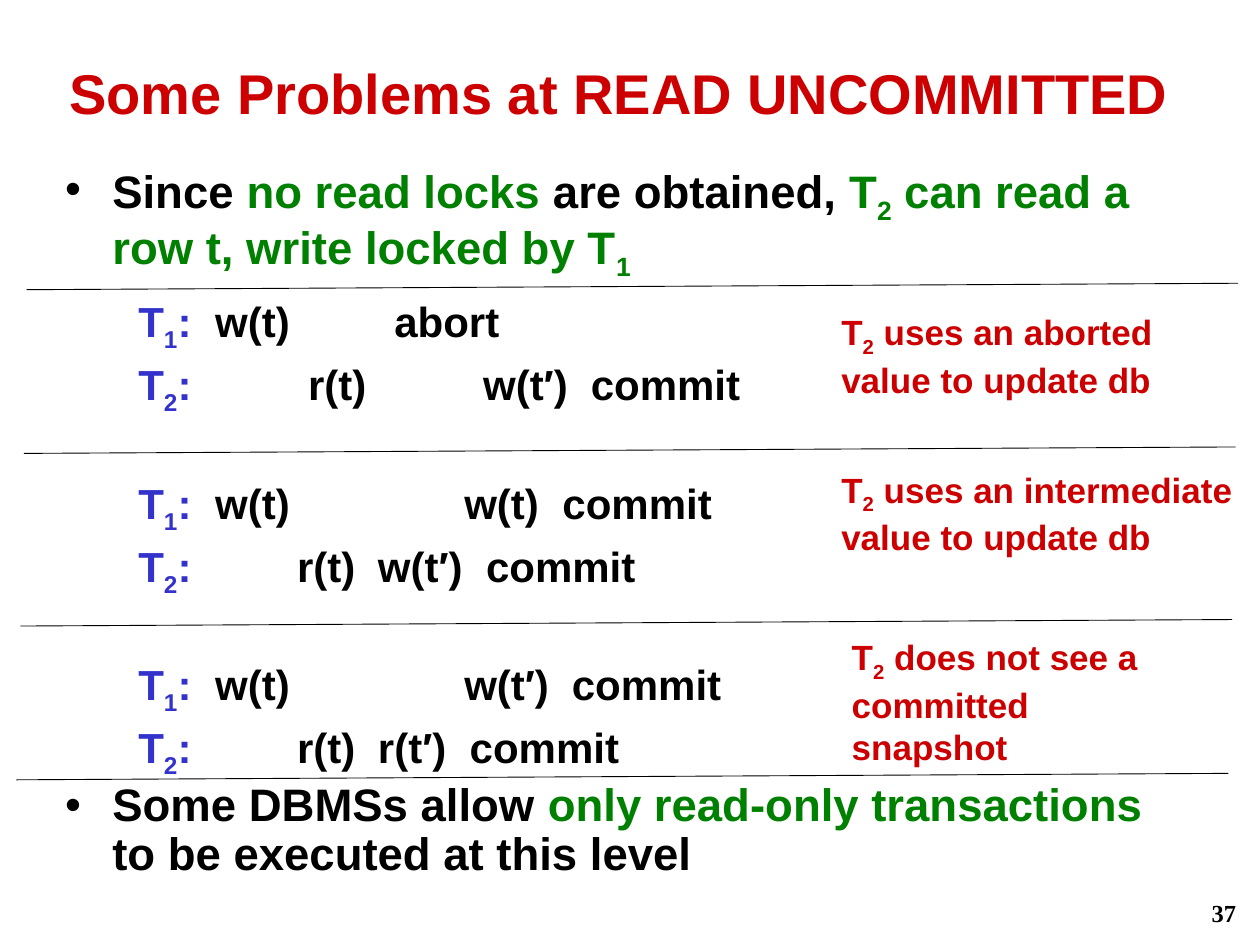
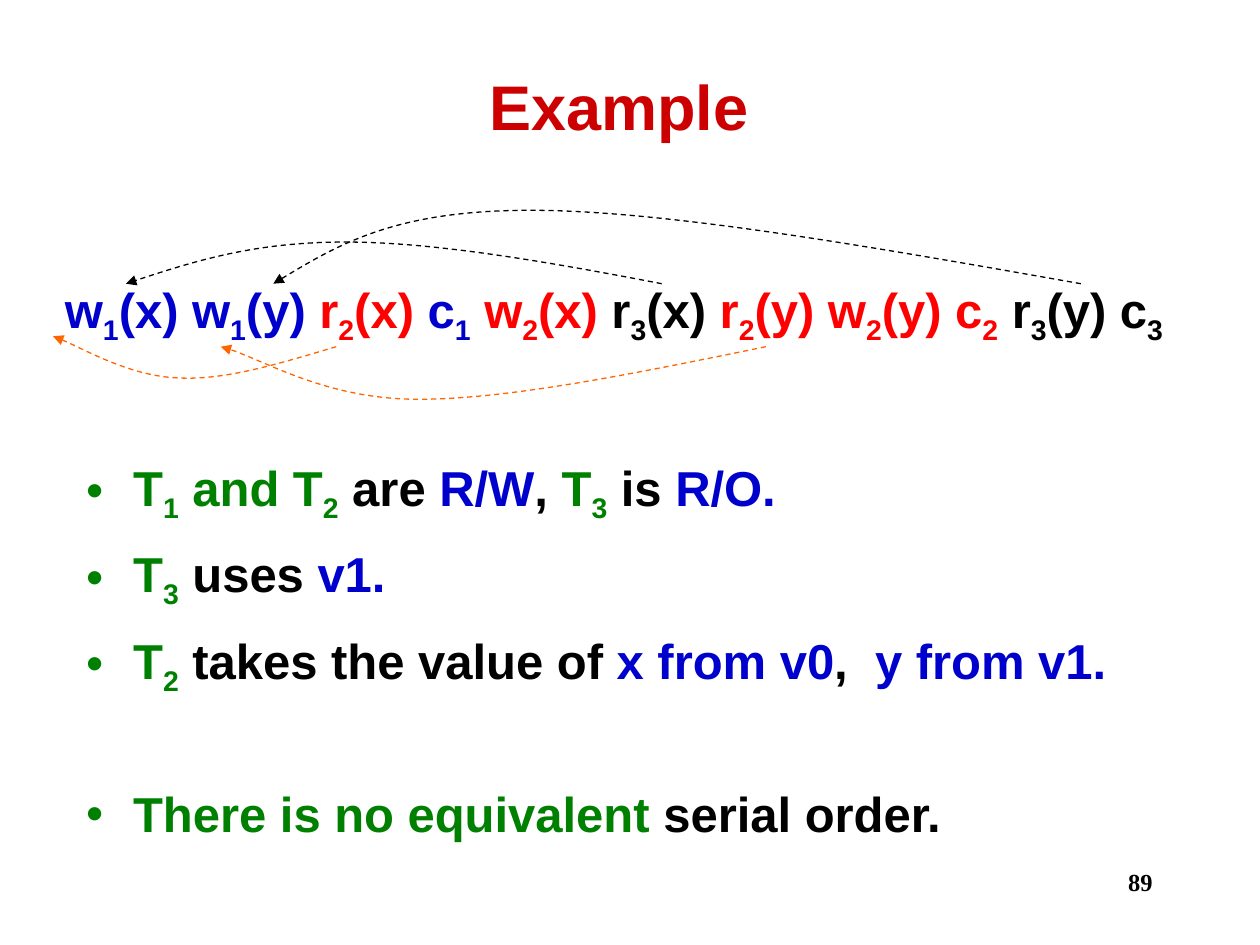
"""Build two slides on transaction isolation: dirty reads and a version example."""
import dataclasses
import typing

import lxml.etree
import pptx
import pptx.dml.color
import pptx.enum.dml
import pptx.enum.shapes
import pptx.enum.text
import pptx.oxml.ns
import pptx.util

Cm = pptx.util.Cm
Pt = pptx.util.Pt


@dataclasses.dataclass(frozen=True)
class Theme:
    """Colours, fonts and type sizes."""
    black: str = "000000"
    title: str = "CC0000"
    green: str = "008000"
    label: str = "3333CC"
    blue: str = "0000CC"
    red: str = "FF0000"
    orange: str = "FF6600"
    sans: str = "Arial"
    serif: str = "Times New Roman"
    page: int = 14
    note: int = 20
    plan: int = 24
    list: int = 26
    large: int = 28
    head: int = 32
    top: int = 36


LOOK = Theme()


class Box(typing.NamedTuple):
    """Place and size in centimetres."""
    left: float
    top: float
    width: float
    height: float


class Bit(typing.NamedTuple):
    """Text in one colour; an underscore lowers the next character."""
    text: str
    hue: str = LOOK.black


class Line(typing.NamedTuple):
    """One paragraph with its gap above in points and tab stops in centimetres."""
    bits: tuple[Bit, ...]
    gap: float = 0
    tabs: tuple[float, ...] = ()


class Style(typing.NamedTuple):
    """How the paragraphs of one box look."""
    size: int
    font: str = LOOK.sans
    align: typing.Any = pptx.enum.text.PP_ALIGN.LEFT
    pitch: float = 1.0
    bullet: str = ""


class Note(typing.NamedTuple):
    """Remark beside a schedule."""
    box: Box
    lines: tuple[str, ...]


class Curve(typing.NamedTuple):
    """Two joined cubic curves in centimetres and their colour."""
    hue: str
    dots: tuple[tuple[float, float], ...]


def child(parent: typing.Any, tag: str, **attrs: str) -> typing.Any:
    """Append a drawing element to a parent."""
    return lxml.etree.SubElement(parent, pptx.oxml.ns.qn(tag), attrs)


def rgb(hue: str) -> pptx.dml.color.RGBColor:
    """Turn a hex string into a colour."""
    return pptx.dml.color.RGBColor.from_string(hue)


def add_run(para: typing.Any, text: str, hue: str, low: bool) -> None:
    """Add one run, lowered if asked."""
    if text:
        run = para.add_run()
        run.text = text
        run.font.color.rgb = rgb(hue)
        if low:
            run._r.get_or_add_rPr().set("baseline", "-25000")


def fill_text(frame: typing.Any, lines: typing.Sequence[Line], style: Style) -> None:
    """Write paragraphs into a text frame."""
    frame.word_wrap = True
    frame.auto_size = pptx.enum.text.MSO_AUTO_SIZE.NONE
    for pos, line in enumerate(lines):
        para = frame.add_paragraph() if pos else frame.paragraphs[0]
        para.alignment = style.align
        para.line_spacing = style.pitch
        para.space_before = Pt(line.gap)
        props = para._p.get_or_add_pPr()
        if style.bullet:
            props.set("marL", str(Cm(0.95)))
            props.set("indent", str(-Cm(0.95)))
            child(child(props, "a:buClr"), "a:srgbClr", val=style.bullet)
            child(props, "a:buFont", typeface=LOOK.sans)
            child(props, "a:buChar", char="•")
        if line.tabs:
            stops = child(props, "a:tabLst")
            for stop in line.tabs:
                child(stops, "a:tab", pos=str(Cm(stop)), algn="l")
        para.font.name = style.font
        para.font.size = Pt(style.size)
        para.font.bold = True
        for bit in line.bits:
            first, *rest = bit.text.split("_")
            add_run(para, first, bit.hue, False)
            for part in rest:
                add_run(para, part[0], bit.hue, True)
                add_run(para, part[1:], bit.hue, False)


def place(shape: typing.Any, box: Box) -> None:
    """Move and size a shape."""
    shape.left, shape.top, shape.width, shape.height = map(Cm, box)


def add_text(slide: typing.Any, box: Box, lines: typing.Sequence[Line], style: Style) -> None:
    """Add a text box."""
    shape = slide.shapes.add_textbox(*map(Cm, box))
    fill_text(shape.text_frame, lines, style)


def add_title(slide: typing.Any, box: Box, text: str, size: int) -> typing.Any:
    """Fill the title placeholder and return its frame."""
    place(slide.shapes.title, box)
    frame = slide.shapes.title.text_frame
    style = Style(size, align=pptx.enum.text.PP_ALIGN.CENTER)
    fill_text(frame, [Line((Bit(text, LOOK.title),))], style)
    frame.vertical_anchor = pptx.enum.text.MSO_ANCHOR.MIDDLE
    return frame


def add_body(slide: typing.Any, box: Box, lines: typing.Sequence[Line], style: Style) -> None:
    """Fill the body placeholder."""
    body = slide.placeholders[1]
    place(body, box)
    fill_text(body.text_frame, lines, style)
    body.text_frame.vertical_anchor = pptx.enum.text.MSO_ANCHOR.TOP


def add_page(slide: typing.Any, box: Box, text: str) -> None:
    """Add the page number."""
    style = Style(LOOK.page, LOOK.serif, pptx.enum.text.PP_ALIGN.RIGHT)
    add_text(slide, box, [Line((Bit(text),))], style)


def add_rule(slide: typing.Any, left: float, top: float) -> None:
    """Add a slightly rising divider."""
    ends = (left, top, left + 24.43, top - 0.13)
    rule = slide.shapes.add_connector(pptx.enum.shapes.MSO_CONNECTOR.STRAIGHT, *map(Cm, ends))
    rule.line.color.rgb = rgb(LOOK.black)
    rule.line.width = Pt(0.5)
    child(rule._element.spPr, "a:effectLst")


def bend(shape: typing.Any) -> None:
    """Join each three straight segments of a shape into one cubic curve."""
    segs = list(shape._element.iter(pptx.oxml.ns.qn("a:lnTo")))
    route = segs[0].getparent()
    for start in range(0, len(segs), 3):
        cubic = child(route, "a:cubicBezTo")
        for seg in segs[start:start + 3]:
            cubic.append(seg[0])
            route.remove(seg)


def add_curve(slide: typing.Any, curve: Curve) -> None:
    """Add a dashed curved arrow."""
    first, *rest = [tuple(map(Cm, dot)) for dot in curve.dots]
    outline = slide.shapes.build_freeform(*first, scale=1.0)
    outline.add_line_segments(rest, close=False)
    shape = outline.convert_to_shape()
    bend(shape)
    shape.shadow.inherit = False
    shape.fill.background()
    shape.line.color.rgb = rgb(curve.hue)
    shape.line.width = Pt(0.75)
    shape.line.dash_style = pptx.enum.dml.MSO_LINE.DASH
    child(shape.line._get_or_add_ln(), "a:tailEnd", type="triangle")


def step_line(name: str, steps: str, tabs: tuple[float, ...], gap: float = 0) -> Line:
    """Make one schedule row with its steps at tab stops."""
    return Line((Bit(f"T_{name}:", LOOK.label), Bit("\t" + steps)), gap, tabs)


ISSUES = (
    Line((Bit("Since "), Bit("no read locks ", LOOK.green), Bit("are obtained, "),
          Bit("T_2 can read a row t, write locked by T_1", LOOK.green))),
    Line((Bit("Some DBMSs allow "), Bit("only read-only transactions", LOOK.green),
          Bit(" to be executed at this level")), 289.5),
)
PLANS = (
    step_line("1", "w(t)\tabort", (1.55, 5.16)),
    step_line("2", "r(t)\tw(t′)\tcommit", (3.42, 6.95, 9.12)),
    step_line("1", "w(t)\tw(t)\tcommit", (1.55, 6.57, 8.55), 32),
    step_line("2", "r(t)\tw(t′)\tcommit", (3.2, 4.83, 7.01)),
    step_line("1", "w(t)\tw(t′)\tcommit", (1.55, 6.57, 8.74), 31.5),
    step_line("2", "r(t)\tr(t′)\tcommit", (3.2, 4.83, 6.68)),
)
NOTES = (
    Note(Box(16.71, 6.13, 6.85, 1.96), ("T_2 uses an aborted", "value to update db")),
    Note(Box(16.71, 9.31, 8.45, 1.96), ("T_2 uses an intermediate", "value to update db")),
    Note(Box(16.92, 12.69, 7.3, 1.96), ("T_2 does not see a", "committed snapshot")),
)
RULES = ((0.53, 5.84), (0.48, 9.14), (0.41, 12.62), (0.33, 15.72))
FACTS = (
    Line((Bit("T_1 and T_2", LOOK.green), Bit(" are "), Bit("R/W", LOOK.blue), Bit(", "),
          Bit("T_3", LOOK.green), Bit(" is "), Bit("R/O.", LOOK.blue))),
    Line((Bit("T_3 ", LOOK.green), Bit("uses "), Bit("v1.", LOOK.blue)), 11.2),
    Line((Bit("T_2 ", LOOK.green), Bit("takes the value of "), Bit("x from v0", LOOK.blue),
          Bit(",  "), Bit("y from v1.", LOOK.blue)), 11.2),
    Line((Bit("There is no equivalent", LOOK.green), Bit(" serial order.")), 49.5),
)
ORDER = Line((
    Bit("w_1(x) w_1(y) ", LOOK.blue), Bit("r_2(x)", LOOK.red), Bit(" c_1 ", LOOK.blue),
    Bit("w_2(x) ", LOOK.red), Bit("r_3(x) "), Bit("r_2(y) w_2(y) c_2 ", LOOK.red),
    Bit("r_3(y) c_3"),
))
CURVES = (
    Curve(LOOK.black, ((13.34, 5.72), (11.05, 5.28), (8.76, 4.88), (6.96, 4.88),
                       (5.16, 4.88), (3.86, 5.28), (2.54, 5.72))),
    Curve(LOOK.black, ((21.79, 5.72), (17.6, 4.98), (13.41, 4.24), (10.69, 4.24),
                       (7.98, 4.24), (6.73, 4.98), (5.51, 5.72))),
    Curve(LOOK.orange, ((15.44, 6.99), (12.85, 7.52), (10.26, 8.05), (8.43, 8.05),
                        (6.6, 8.05), (5.16, 7.16), (4.45, 6.99))),
    Curve(LOOK.orange, ((6.78, 6.99), (5.66, 7.32), (4.55, 7.67), (3.61, 7.62),
                        (2.64, 7.59), (1.47, 6.91), (1.07, 6.78))),
)


def draw_issues(slide: typing.Any) -> None:
    """Draw the slide on uncommitted reads."""
    add_page(slide, Box(19.89, 17.98, 5.28, 0.84), "37")
    frame = add_title(slide, Box(0, 0.64, 25.4, 2.11),
                      "Some Problems at READ UNCOMMITTED", LOOK.head)
    frame.margin_top, frame.margin_right = Cm(0.46), Cm(0.69)
    style = Style(LOOK.list, pitch=0.9, bullet=LOOK.black)
    add_body(slide, Box(1.06, 3.18, 22.86, 14.61), ISSUES, style)
    add_text(slide, Box(2.54, 5.72, 12.75, 9.19), PLANS, Style(LOOK.plan, pitch=1.1))
    for note in NOTES:
        lines = [Line((Bit(text, LOOK.title),)) for text in note.lines]
        add_text(slide, note.box, lines, Style(LOOK.note))
    for left, top in RULES:
        add_rule(slide, left, top)


def draw_order(slide: typing.Any) -> None:
    """Draw the slide with the version example."""
    add_page(slide, Box(18.21, 17.35, 5.28, 1.27), "89")
    add_title(slide, Box(1.68, 1.27, 21.59, 1.7), "Example", LOOK.top)
    style = Style(LOOK.large, bullet=LOOK.green)
    add_body(slide, Box(1.48, 9.09, 22.86, 8.26), FACTS, style)
    add_text(slide, Box(1.06, 5.51, 23.32, 1.45), [ORDER], Style(LOOK.large))
    for curve in CURVES:
        add_curve(slide, curve)


def main() -> None:
    """Build and save the deck."""
    deck = pptx.Presentation()
    deck.slide_width, deck.slide_height = Cm(25.4), Cm(19.05)
    for draw in (draw_issues, draw_order):
        draw(deck.slides.add_slide(deck.slide_layouts[1]))
    deck.save("out.pptx")


if __name__ == "__main__":
    main()
